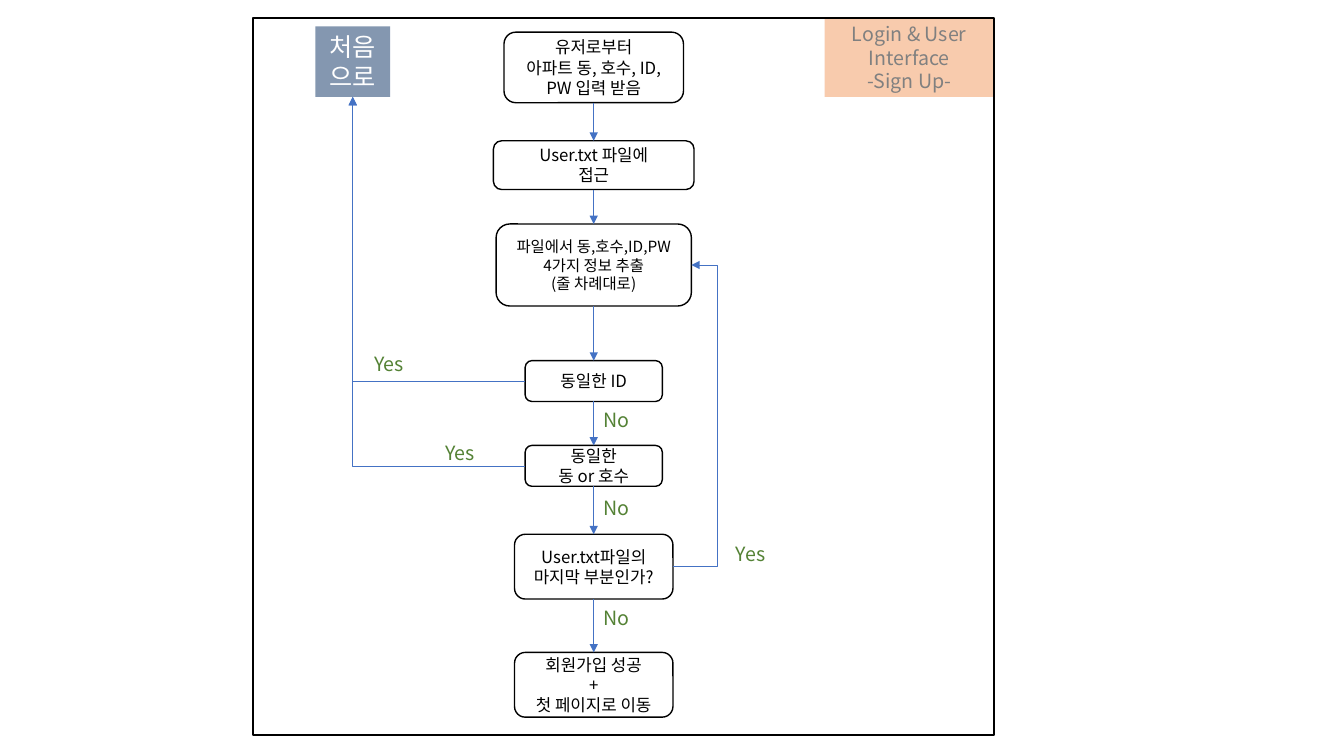
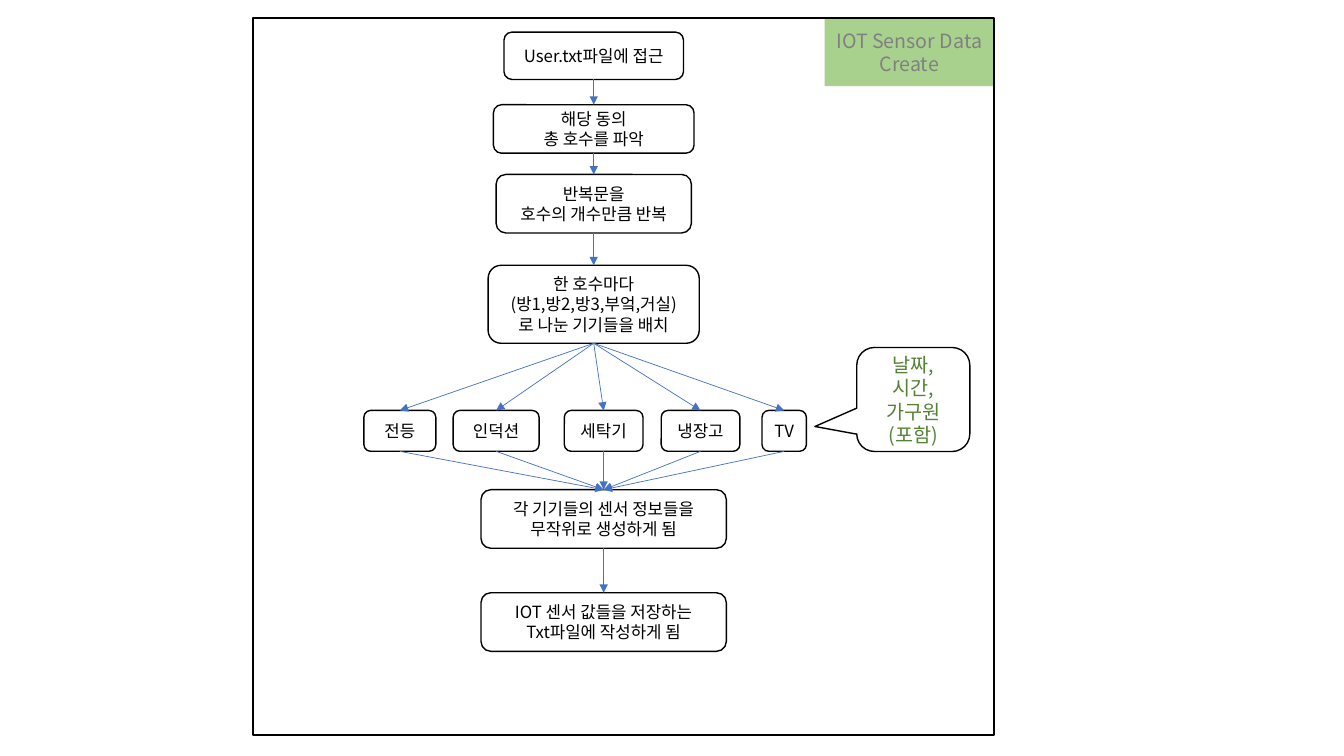
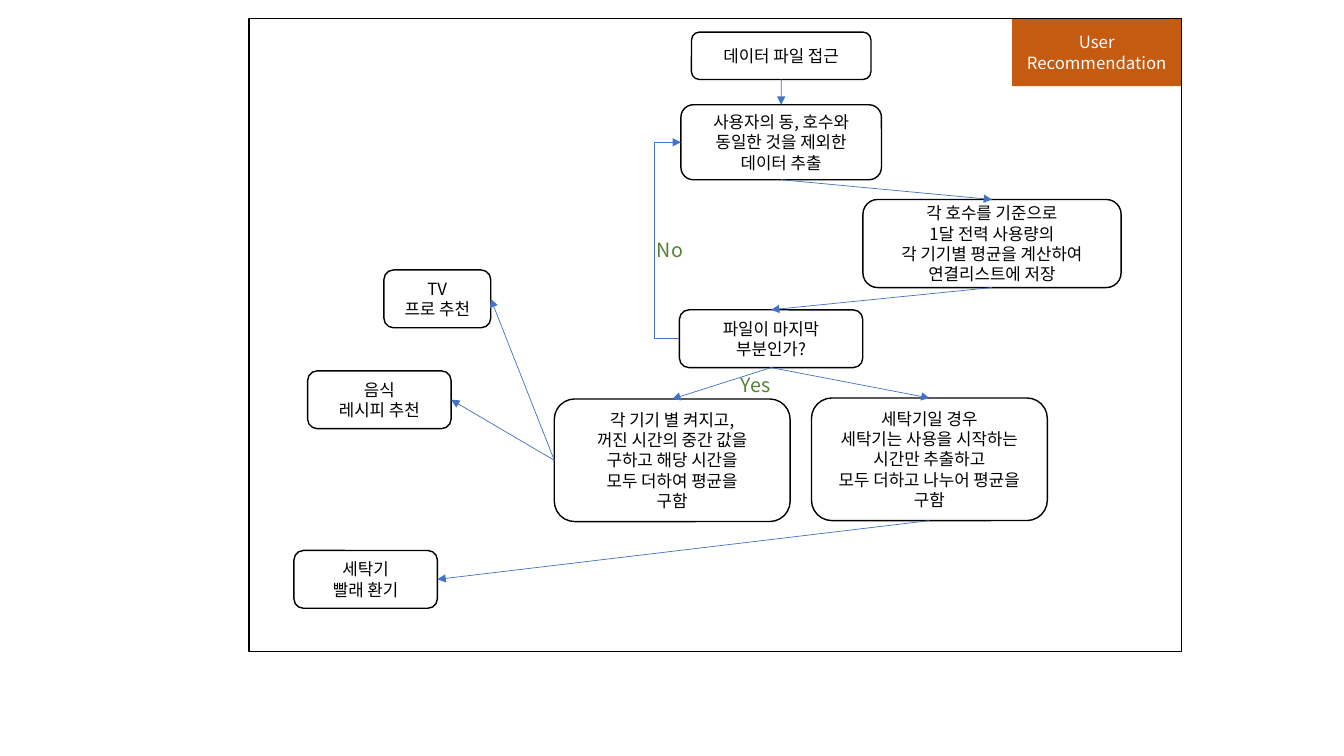
from dataclasses import dataclass
from itertools import pairwise
from typing import Optional

from lxml import etree
from pptx import Presentation
from pptx.dml.color import RGBColor
from pptx.enum.shapes import MSO_CONNECTOR, MSO_SHAPE
from pptx.enum.text import MSO_ANCHOR, MSO_AUTO_SIZE, PP_ALIGN
from pptx.oxml.ns import qn
from pptx.util import Pt

ROUNDED, RECT = MSO_SHAPE.ROUNDED_RECTANGLE, MSO_SHAPE.RECTANGLE
CALLOUT = MSO_SHAPE.ROUNDED_RECTANGULAR_CALLOUT
STRAIGHT, ELBOW = MSO_CONNECTOR.STRAIGHT, MSO_CONNECTOR.ELBOW
CENTER, LEFT_ALIGN = PP_ALIGN.CENTER, PP_ALIGN.LEFT
MIDDLE, ANCHOR_TOP = MSO_ANCHOR.MIDDLE, MSO_ANCHOR.TOP
NO_FIT, GROW = MSO_AUTO_SIZE.NONE, MSO_AUTO_SIZE.SHAPE_TO_FIT_TEXT
TOP, LEFT, BOTTOM, RIGHT = range(4)


@dataclass(frozen=True)
class Theme:
    font: str = "Noto Sans CJK KR"
    ink: str = "000000"
    white: str = "FFFFFF"
    gray: str = "808080"
    green: str = "548235"
    arrow: str = "4472C4"
    home: str = "8497B0"
    login: str = "F8CBAD"
    sensor: str = "A9D18E"
    recommend: str = "C55A11"
    small: float = 11
    body: float = 12
    label: float = 14
    large: float = 18
    outline: float = 1
    arrow_width: float = 0.5
    frame_top: float = 13
    tag_width: float = 121


THEME = Theme()


@dataclass(frozen=True)
class Frame:
    left: float
    width: float
    height: float


@dataclass(frozen=True)
class Tag:
    text: str
    height: float
    fill: str
    size: float = THEME.label
    color: str = THEME.gray


@dataclass(frozen=True)
class Box:
    key: str
    text: str
    center: float
    top: float
    width: float
    height: float
    size: float = THEME.body
    color: str = THEME.ink
    fill: Optional[str] = None
    preset: MSO_SHAPE = ROUNDED
    adjustments: tuple[float, ...] = ()


@dataclass(frozen=True)
class Link:
    start: str
    end: str
    start_side: int = BOTTOM
    end_side: int = TOP
    via: Optional[float] = None
    corner: bool = False


@dataclass(frozen=True)
class Answer:
    text: str
    left: float
    top: float


@dataclass(frozen=True)
class Flow:
    frame: Frame
    tag: Tag
    boxes: list[Box]
    links: list[Link]
    answers: list[Answer]


def chain(*keys: str) -> list[Link]:
    return [Link(start, end) for start, end in pairwise(keys)]


def write(shape, text: str, *, size: float, color: str, align=CENTER,
          anchor=MIDDLE, wrap: bool = True, fit=NO_FIT) -> None:
    frame = shape.text_frame
    frame.word_wrap = wrap
    frame.auto_size = fit
    frame.vertical_anchor = anchor
    for index, line in enumerate(text.split("\n")):
        paragraph = frame.add_paragraph() if index else frame.paragraphs[0]
        paragraph.alignment = align
        run = paragraph.add_run()
        run.text = line
        run.font.size = Pt(size)
        run.font.name = THEME.font
        run.font.color.rgb = RGBColor.from_string(color)
        east_asian = etree.SubElement(run.font._element, qn("a:ea"))
        east_asian.set("typeface", THEME.font)


def paint(shape, fill: Optional[str]) -> None:
    shape.shadow.inherit = False
    if fill:
        shape.fill.solid()
        shape.fill.fore_color.rgb = RGBColor.from_string(fill)
        shape.line.fill.background()
    else:
        shape.fill.background()
        shape.line.color.rgb = RGBColor.from_string(THEME.ink)
        shape.line.width = Pt(THEME.outline)


def draw_frame(slide, frame: Frame) -> None:
    border = slide.shapes.add_shape(RECT, Pt(frame.left), Pt(THEME.frame_top),
                                    Pt(frame.width), Pt(frame.height))
    paint(border, None)


def draw_tag(slide, tag: Tag, frame: Frame) -> None:
    title = slide.shapes.title
    title.left = Pt(frame.left + frame.width - THEME.tag_width)
    title.top = Pt(THEME.frame_top)
    title.width, title.height = Pt(THEME.tag_width), Pt(tag.height)
    title.fill.solid()
    title.fill.fore_color.rgb = RGBColor.from_string(tag.fill)
    write(title, tag.text, size=tag.size, color=tag.color)


def draw_box(slide, box: Box):
    shape = slide.shapes.add_shape(box.preset, Pt(box.center - box.width / 2),
                                   Pt(box.top), Pt(box.width), Pt(box.height))
    for index, value in enumerate(box.adjustments):
        shape.adjustments[index] = value
    paint(shape, box.fill)
    write(shape, box.text, size=box.size, color=box.color)
    return shape


def draw_link(slide, link: Link, shapes: dict) -> None:
    bent = link.corner or link.via is not None
    arrow = slide.shapes.add_connector(ELBOW if bent else STRAIGHT, 0, 0, 0, 0)
    arrow.begin_connect(shapes[link.start], link.start_side)
    arrow.end_connect(shapes[link.end], link.end_side)
    arrow.line.color.rgb = RGBColor.from_string(THEME.arrow)
    arrow.line.width = Pt(THEME.arrow_width)
    properties = arrow._element.spPr
    geometry = properties.find(qn("a:prstGeom"))
    if link.corner:
        geometry.set("prst", "bentConnector2")
    elif link.via is not None:
        ratio = (Pt(link.via) - arrow.begin_x) / (arrow.end_x - arrow.begin_x)
        guide = etree.SubElement(geometry.find(qn("a:avLst")), qn("a:gd"))
        guide.set("name", "adj1")
        guide.set("fmla", f"val {round(ratio * 100000)}")
    head = etree.SubElement(properties.find(qn("a:ln")), qn("a:tailEnd"))
    head.set("type", "triangle")
    etree.SubElement(properties, qn("a:effectLst"))


def draw_answer(slide, answer: Answer) -> None:
    label = slide.shapes.add_textbox(Pt(answer.left), Pt(answer.top), Pt(36), Pt(24.5))
    write(label, answer.text, size=THEME.label, color=THEME.green,
          align=LEFT_ALIGN, anchor=ANCHOR_TOP, wrap=False, fit=GROW)


def draw_flow(deck, flow: Flow) -> None:
    slide = deck.slides.add_slide(deck.slide_layouts[5])
    draw_tag(slide, flow.tag, flow.frame)
    draw_frame(slide, flow.frame)
    shapes = {box.key: draw_box(slide, box) for box in flow.boxes}
    for link in flow.links:
        draw_link(slide, link, shapes)
    for answer in flow.answers:
        draw_answer(slide, answer)


AXIS = 424.1
SENSOR_AXIS = 431.2
DATA_AXIS = 558
TALL_FRAME = Frame(180.7, 529.3, 512)

sign_up = Flow(
    TALL_FRAME,
    Tag("Login & User\nInterface\n-Sign Up-", 56.2, THEME.login),
    [
        Box("input", "유저로부터\n아파트 동, 호수, ID, PW 입력 받음", AXIS, 23, 128.2, 50.4),
        Box("open", "User.txt 파일에\n접근", AXIS, 100.6, 143.3, 34.8),
        Box("extract", "파일에서 동,호수,ID,PW\n4가지 정보 추출\n(줄 차례대로)",
            AXIS, 160, 139.5, 58.6, size=THEME.small),
        Box("same_id", "동일한 ID", AXIS, 257.6, 98, 29.2),
        Box("same_home", "동일한\n동 or 호수", AXIS, 318.2, 98, 29.2),
        Box("last", "User.txt파일의\n마지막 부분인가?", AXIS, 381.6, 113.2, 46.3),
        Box("done", "회원가입 성공\n+\n첫 페이지로 이동", AXIS, 466, 113.2, 46.3),
        Box("home", "처음으로", 252, 18.9, 53.3, 50.4, size=THEME.large,
            color=THEME.white, fill=THEME.home, preset=RECT),
    ],
    chain("input", "open", "extract", "same_id", "same_home", "last", "done")
    + [Link(check, "home", LEFT, BOTTOM, corner=True) for check in ("same_id", "same_home")]
    + [Link("last", "extract", RIGHT, RIGHT, via=512.3)],
    [
        Answer("No", AXIS, 288),
        Answer("No", AXIS, 350.6),
        Answer("No", AXIS, 429.1),
        Answer("Yes", 260.3, 247.7),
        Answer("Yes", 311, 311.4),
        Answer("Yes", 518.6, 383.8),
    ],
)

devices = [
    Box(name, name, center, 293.2, width, 29.2)
    for name, center, width in (
        ("전등", 285.6, 51.4), ("인덕션", 354.4, 61.4), ("세탁기", 431.2, 56.2),
        ("냉장고", 500.4, 56.2), ("TV", 560.2, 31.7),
    )
]

sensor_data = Flow(
    TALL_FRAME,
    Tag("IOT Sensor Data\nCreate", 48.6, THEME.sensor),
    [
        Box("open", "User.txt파일에 접근", AXIS, 23, 128.2, 33.8),
        Box("count", "해당 동의\n총 호수를 파악", AXIS, 74.8, 143.3, 34.6),
        Box("repeat", "반복문을\n호수의 개수만큼 반복", AXIS, 124.6, 139.5, 41.8),
        Box("place", "한 호수마다\n(방1,방2,방3,부엌,거실)\n로 나눈 기기들을 배치",
            AXIS, 189.5, 150.8, 55.7),
        *devices,
        Box("generate", "각 기기들의 센서 정보들을 무작위로 생성하게 됨",
            SENSOR_AXIS, 349.8, 175.2, 41.8),
        Box("save", "IOT 센서 값들을 저장하는\nTxt파일에 작성하게 됨",
            SENSOR_AXIS, 423.4, 175.2, 41.8),
        Box("included", "날짜,\n시간,\n가구원\n(포함)", 652.4, 248.2, 80.8, 74.3,
            size=THEME.label, color=THEME.green, preset=CALLOUT,
            adjustments=(-0.87, 0.26, 0.17)),
    ],
    chain("open", "count", "repeat", "place")
    + [link for device in devices for link in chain("place", device.key, "generate")]
    + chain("generate", "save"),
    [],
)

recommendation = Flow(
    Frame(177.9, 666, 452.2),
    Tag("User\nRecommendation", 48.6, THEME.recommend, THEME.body, THEME.white),
    [
        Box("open", "데이터 파일 접근", DATA_AXIS, 23, 128.2, 33.8),
        Box("extract", "사용자의 동, 호수와\n동일한 것을 제외한\n데이터 추출",
            DATA_AXIS, 74.8, 143.3, 53.6),
        Box("average", "각 호수를 기준으로\n1달 전력 사용량의\n각 기기별 평균을 계산하여\n연결리스트에 저장",
            708.6, 142.5, 184.4, 62.9),
        Box("last", "파일이 마지막\n부분인가?", 550.8, 221.3, 131, 41.3),
        Box("midpoint", "각 기기 별 켜지고,\n꺼진 시간의 중간 값을\n구하고 해당 시간을\n모두 더하여 평균을\n구함",
            480.2, 285, 168.5, 87.6),
        Box("washer", "세탁기일 경우\n세탁기는 사용을 시작하는\n시간만 추출하고\n모두 더하고 나누어 평균을\n구함",
            663.9, 284.3, 168.5, 87.6),
        Box("tv", "TV\n프로 추천", 312.4, 192.8, 76.3, 41.3),
        Box("recipe", "음식\n레시피 추천", 271, 264.9, 102.5, 41.3),
        Box("laundry", "세탁기\n빨래 환기", 261.2, 393.2, 102.5, 41.3),
    ],
    chain("open", "extract", "average", "last")
    + [Link("last", step) for step in ("midpoint", "washer")]
    + [Link("midpoint", advice, LEFT, RIGHT) for advice in ("tv", "recipe")]
    + [Link("washer", "laundry", BOTTOM, RIGHT),
       Link("last", "extract", LEFT, LEFT, via=467.3)],
    [Answer("Yes", 522, 262.7), Answer("No", 462.1, 166.3)],
)

deck = Presentation()
deck.slide_width, deck.slide_height = Pt(960), Pt(540)
for flow in (sign_up, sensor_data, recommendation):
    draw_flow(deck, flow)
deck.save("out.pptx")
